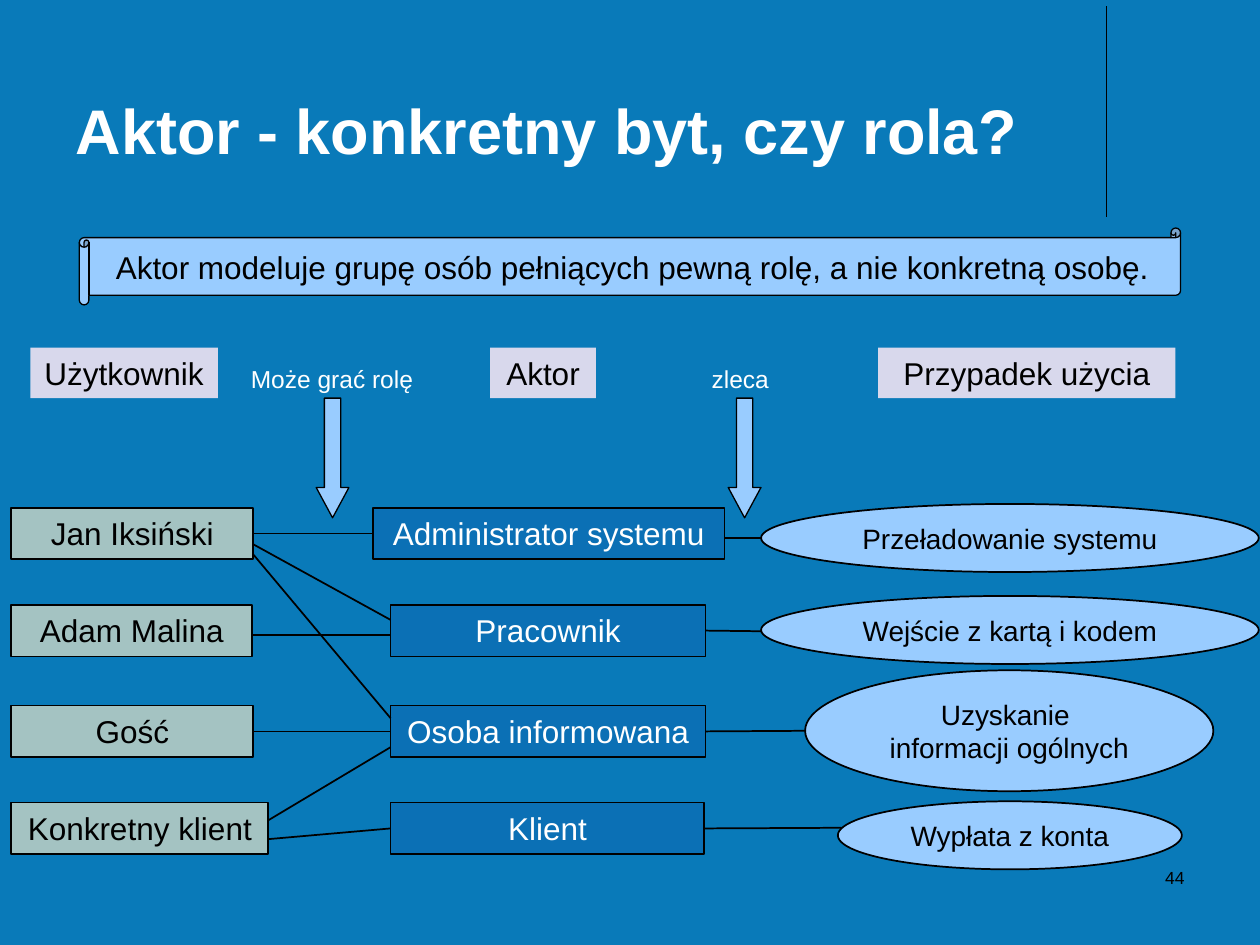
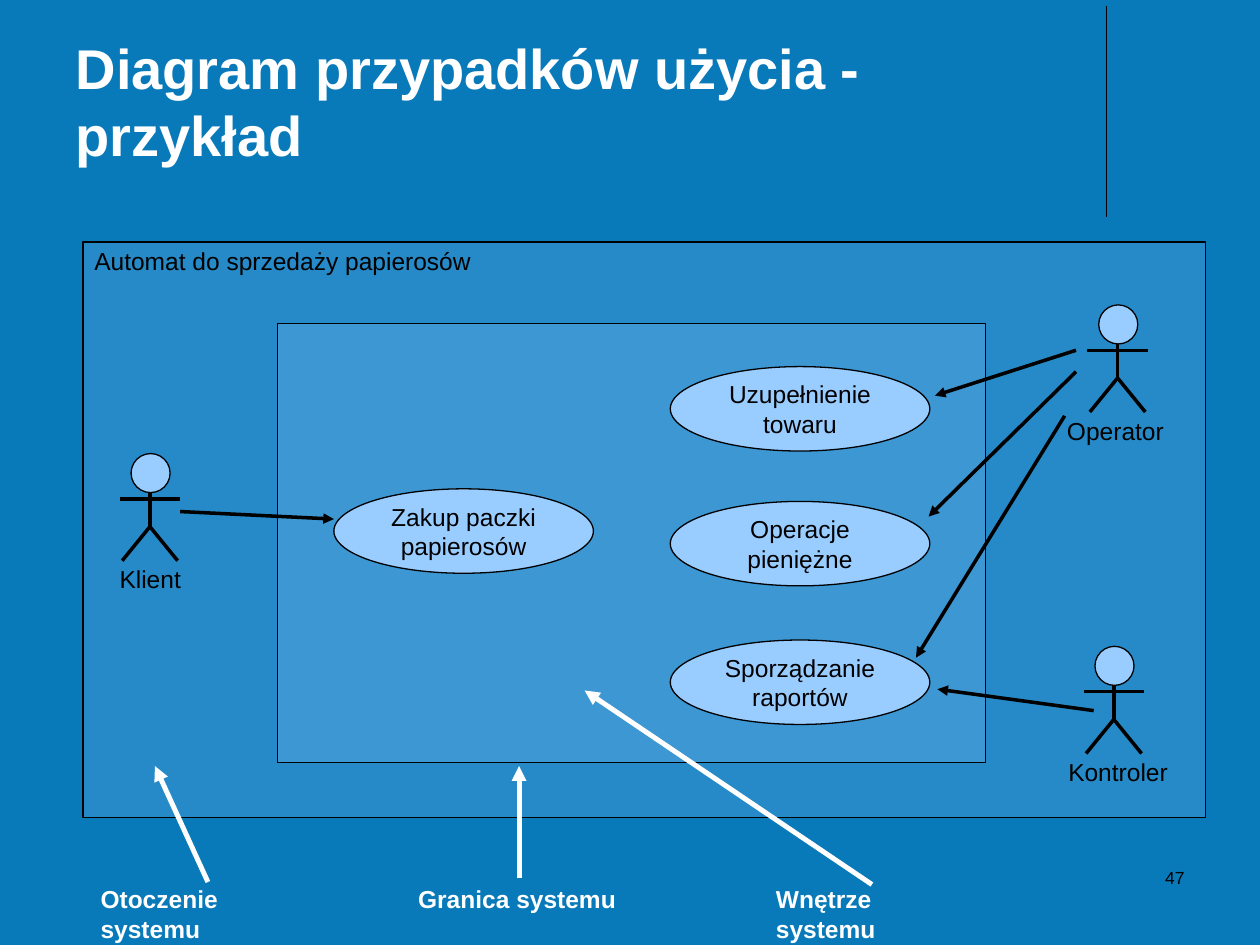
from lxml import etree
from pptx import Presentation
from pptx.dml.color import RGBColor
from pptx.enum import shapes as kinds, text as texts
from pptx.oxml import ns
from pptx.util import Inches, Pt

COLORS = {
    "back": "097AB9",
    "sky": "99CCFF",
    "lilac": "D8D8EC",
    "sage": "A4C3C2",
    "blue": "0B70B5",
    "black": "000000",
    "white": "FFFFFF",
}
FONT = "Arial"
SHAPE = kinds.MSO_SHAPE
ALIGN = texts.PP_ALIGN
ANCHOR = texts.MSO_ANCHOR
TOP, LEFT, BOTTOM, RIGHT = range(4)


def rgb(name):
    return RGBColor.from_string(COLORS[name])


def write(frame, words, size, color="black", align=ALIGN.CENTER, bold=False,
          anchor=ANCHOR.TOP):
    """Fill a text frame, one paragraph for each line of words."""
    frame.vertical_anchor = anchor
    for i, line in enumerate(words.split("\n")):
        para = frame.add_paragraph() if i else frame.paragraphs[0]
        para.alignment = align
        run = para.add_run()
        run.text = line
        font = run.font
        font.name, font.size, font.bold = FONT, Pt(size), bold
        font.color.rgb = rgb(color)


def label(slide, at, words, size=14, wrap=False, **style):
    box = slide.shapes.add_textbox(*map(Inches, at))
    box.text_frame.word_wrap = wrap
    write(box.text_frame, words, size, **style)


def block(slide, kind, at, fill="sky", line=0, alpha=None):
    """Add a filled shape; line is the outline width, None for no outline."""
    shape = slide.shapes.add_shape(kind, *map(Inches, at))
    shape.shadow.inherit = False
    shape.fill.solid()
    shape.fill.fore_color.rgb = rgb(fill)
    if alpha is not None:
        tint = shape.fill._xPr.find(".//" + ns.qn("a:srgbClr"))
        etree.SubElement(tint, ns.qn("a:alpha"), val=str(alpha * 1000))
    if line is None:
        shape.line.fill.background()
    else:
        shape.line.color.rgb = rgb("black")
        shape.line.width = Pt(line)
    return shape


def box(slide, at, words, fill, color="black", line=1):
    shape = block(slide, SHAPE.RECTANGLE, at, fill, line)
    write(shape.text_frame, words, 18, color)
    return shape


def oval(slide, at, words, size, line):
    shape = block(slide, SHAPE.OVAL, at, line=line)
    write(shape.text_frame, words, size, anchor=ANCHOR.MIDDLE)


def link(slide, start, end, width=0, color="black", arrow=False):
    """Join two ends, each a point or a (box, side) pair."""
    def point(spot):
        return (0, 0) if hasattr(spot[0], "shape_id") else map(Inches, spot)

    line = slide.shapes.add_connector(
        kinds.MSO_CONNECTOR.STRAIGHT, *point(start), *point(end))
    for spot, join in ((start, line.begin_connect), (end, line.end_connect)):
        if hasattr(spot[0], "shape_id"):
            join(*spot)
    line.line.color.rgb = rgb(color)
    line.line.width = Pt(width)
    if arrow:
        etree.SubElement(line.line._get_or_add_ln(), ns.qn("a:tailEnd"),
                         type="triangle")
    etree.SubElement(line._element.spPr, ns.qn("a:effectLst"))


def person(slide, mid, top, name, left, width):
    """Draw a stick figure with its name below."""
    hip, foot, arm = top + 0.58, top + 0.85, top + 0.36
    link(slide, (mid, hip), (mid, top + 0.17))
    block(slide, SHAPE.OVAL, (mid - 0.15, top, 0.31, 0.31))
    link(slide, (mid - 0.24, arm), (mid + 0.24, arm))
    for side in (-0.22, 0.22):
        link(slide, (mid, hip), (mid + side, foot))
    label(slide, (left, top + 0.83, width, 0.33), name, align=ALIGN.LEFT)


def page(deck, title, size, number):
    slide = deck.slides.add_slide(deck.slide_layouts[5])
    head = slide.shapes.title
    head.left, head.top, head.width, head.height = map(
        Inches, (0.5, 0.03, 8.25, 1.35))
    write(head.text_frame, title, size, "white", ALIGN.LEFT, True,
          ANCHOR.BOTTOM)
    link(slide, (8.78, 0.05), (8.78, 1.72), 0.75)
    label(slide, (7.17, 6.83, 2.33, 0.5), str(number), 10, wrap=True,
          align=ALIGN.RIGHT)
    return slide


def draw_roles(deck):
    slide = page(deck, "Aktor - konkretny byt, czy rola?", 36, 44)
    scroll = block(slide, SHAPE.HORIZONTAL_SCROLL, (0.63, 1.81, 8.74, 0.61))
    write(scroll.text_frame, "Aktor modeluje grupę osób pełniących pewną "
          "rolę, a nie konkretną osobę.", 18, anchor=ANCHOR.MIDDLE)

    for left, width, words in ((0.24, 1.49, "Użytkownik"),
                               (3.89, 0.84, "Aktor"),
                               (6.97, 2.36, "Przypadek użycia")):
        box(slide, (left, 2.76, width, 0.4), words, "lilac", line=None)
    for left, width, words, tip in ((1.66, 1.95, "Może grać rolę", 2.51),
                                    (5.47, 0.81, "zleca", 5.78)):
        label(slide, (left, 2.84, width, 0.4), words, wrap=True,
              color="white")
        arrow = block(slide, SHAPE.DOWN_ARROW, (tip, 3.16, 0.26, 0.95))
        arrow.adjustments[1] = 0.927

    rows = (4.03, 4.8, 5.6, 6.37)
    users = (("Jan Iksiński", 1.92), ("Adam Malina", 1.91),
             ("Gość", 1.92), ("Konkretny klient", 2.04))
    roles = (("Administrator systemu", 2.96, 2.79), ("Pracownik", 3.1, 2.5),
             ("Osoba informowana ", 3.1, 2.5), ("Klient", 3.1, 2.49))
    jan, adam, guest, client = [
        box(slide, (0.09, top, width, 0.41), name, "sage")
        for top, (name, width) in zip(rows, users)]
    admin, staff, caller, buyer = [
        box(slide, (left, top, width, 0.41), name, "blue", "white")
        for top, (name, left, width) in zip(rows, roles)]
    for at, words in (
            ((6.04, 4, 3.95, 0.54), "Przeładowanie systemu"),
            ((6.04, 4.73, 3.95, 0.54), "Wejście z kartą i kodem"),
            ((6.39, 5.32, 3.24, 0.96), "Uzyskanie \ninformacji ogólnych"),
            ((6.65, 6.36, 2.73, 0.54), "Wypłata z konta")):
        oval(slide, at, words, 16, 1)

    for start, end in (
            ((jan, RIGHT), (admin, LEFT)),
            ((2.01, 4.32), (3.1, 4.92)),
            ((2.01, 4.4), (3.1, 5.7)),
            ((2, 5.04), (3.1, 5.04)),
            ((guest, RIGHT), (caller, LEFT)),
            ((2.13, 6.51), (3.1, 5.93)),
            ((2.13, 6.66), (buyer, LEFT)),
            ((5.75, 4.27), (6.04, 4.27)),
            ((staff, RIGHT), (6.04, 5.01)),
            ((caller, RIGHT), (6.39, 5.8)),
            ((buyer, RIGHT), (6.68, 6.57))):
        link(slide, start, end, 1)


def draw_cases(deck):
    slide = page(deck, "Diagram przypadków użycia - przykład", 32, 47)
    for at in ((0.66, 1.92, 8.91, 4.57), (2.2, 2.57, 5.62, 3.48)):
        block(slide, SHAPE.RECTANGLE, at, alpha=20)
    label(slide, (0.65, 1.9, 3.19, 0.33), "Automat do sprzedaży papierosów",
          align=ALIGN.LEFT)

    person(slide, 1.19, 3.6, "Klient", 0.85, 0.69)
    person(slide, 8.87, 2.42, "Operator", 8.37, 0.97)
    person(slide, 8.84, 5.13, "Kontroler", 8.38, 0.99)
    for left, top, words in ((2.65, 3.88, "Zakup paczki\npapierosów"),
                             (5.32, 2.91, "Uzupełnienie\ntowaru"),
                             (5.32, 3.98, "Operacje\npieniężne"),
                             (5.32, 5.08, "Sporządzanie\nraportów")):
        oval(slide, (left, top, 2.06, 0.67), words, 14, 0)

    for start, end in (((1.43, 4.06), (2.65, 4.12)),
                       ((8.54, 2.78), (7.42, 3.14)),
                       ((8.54, 2.95), (7.37, 4.1)),
                       ((8.45, 3.3), (7.27, 5.22)),
                       ((8.68, 5.64), (7.44, 5.47))):
        link(slide, start, end, arrow=True)
    for words, left, width, start, end in (
            ("Otoczenie systemu", 0.7, 1.97, (1.65, 7), (1.23, 6.08)),
            ("Wnętrze systemu", 6.06, 1.8, (6.92, 7.02), (4.64, 5.48)),
            ("Granica systemu", 3.22, 1.77, (4.12, 6.97), (4.12, 6.08))):
        link(slide, start, end, 2.83, "white", True)
        label(slide, (left, 6.97, width, 0.33), words, color="white",
              align=ALIGN.LEFT, bold=True)


def main():
    deck = Presentation()
    deck.slide_width, deck.slide_height = Inches(10), Inches(7.5)
    back = deck.slide_master.background.fill
    back.solid()
    back.fore_color.rgb = rgb("back")
    draw_roles(deck)
    draw_cases(deck)
    deck.save("out.pptx")


if __name__ == "__main__":
    main()
